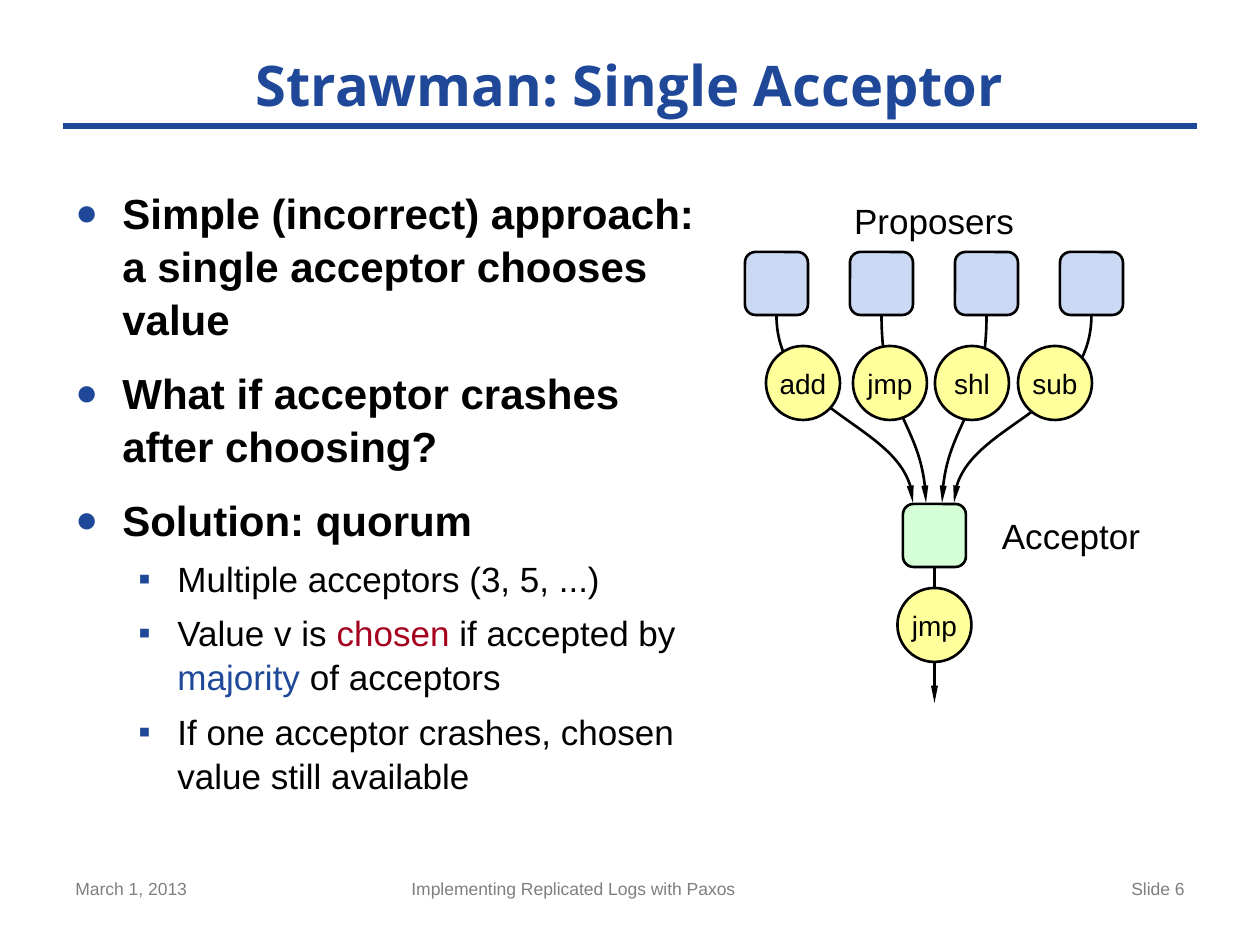
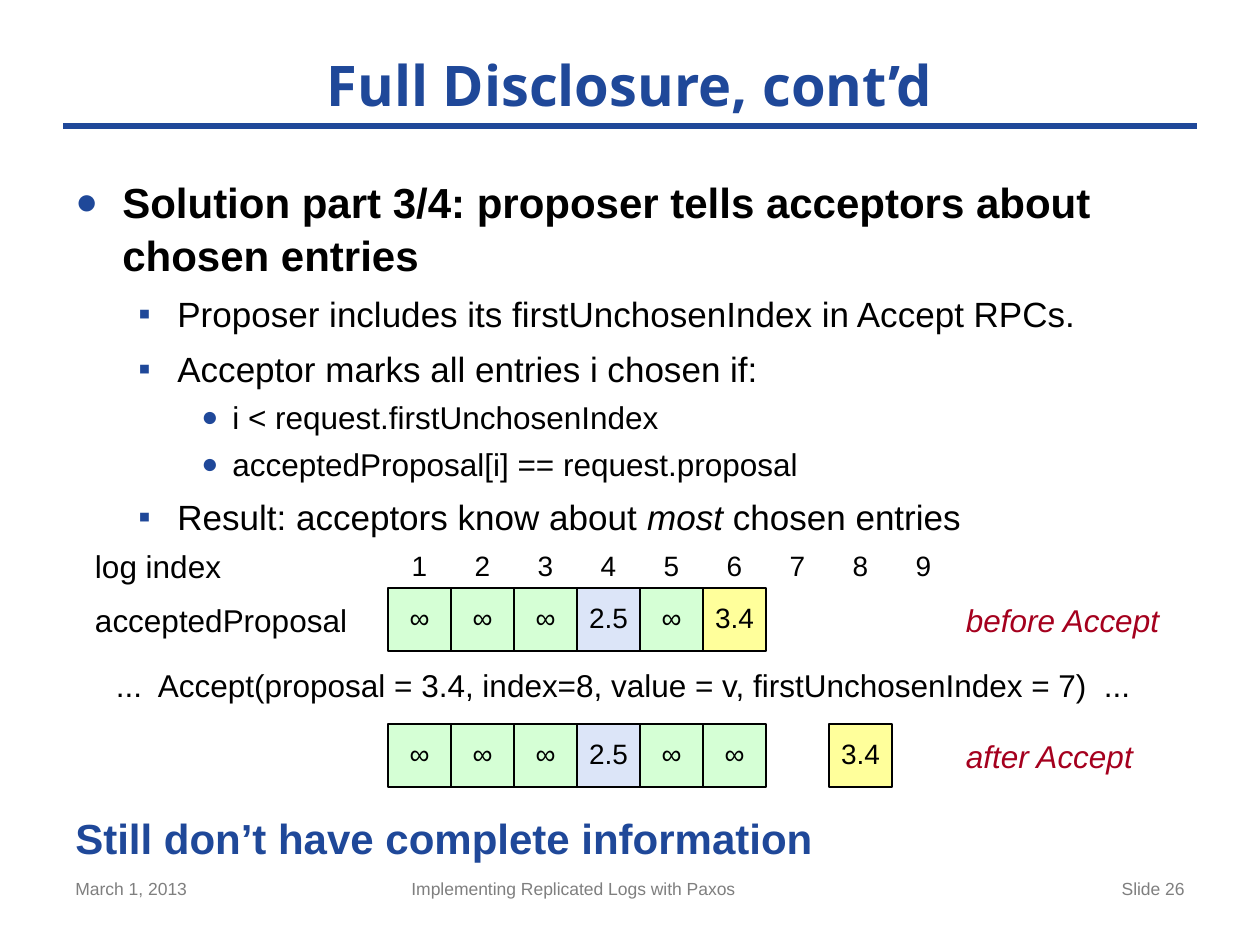
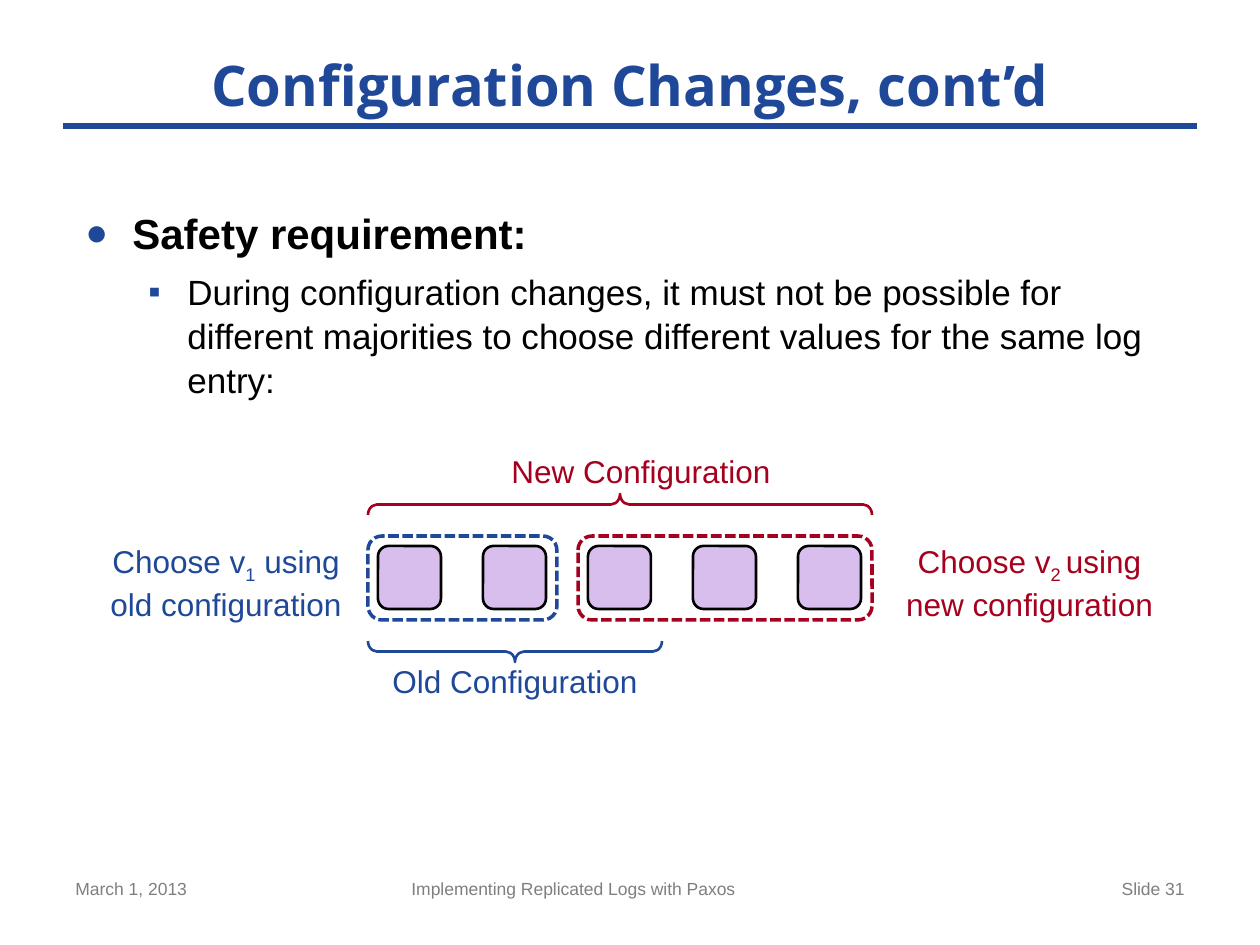
import dataclasses

import lxml.etree
import pptx
import pptx.dml.color
import pptx.enum.dml
import pptx.enum.shapes
import pptx.enum.text
import pptx.oxml.ns
import pptx.util

SCALE = 914400 / 126
SHAPE = pptx.enum.shapes.MSO_SHAPE
ALIGN = pptx.enum.text.PP_ALIGN
ANCHOR = pptx.enum.text.MSO_ANCHOR
DASH = pptx.enum.dml.MSO_LINE
qn = pptx.oxml.ns.qn


@dataclasses.dataclass(frozen=True)
class Theme:
    blue: str = "1F4899"
    red: str = "A5001E"
    black: str = "000000"
    gray: str = "7F7F7F"
    proposer: str = "CCD9F4"
    green: str = "D5FFD5"
    yellow: str = "FFFF9B"
    pale: str = "DCE5F8"
    purple: str = "D8BEEC"
    body_font: str = "Arial"
    title_font: str = "Open Sans"
    title: int = 32
    heading: int = 24
    item: int = 20
    label: int = 18
    value: int = 16
    footer: int = 10
    outline: float = 1.5


T = Theme()
LEVELS = [
    dict(size=T.heading, bold=True, before=12, left=47, hang=47, char="●", pct=90),
    dict(size=T.item, bold=False, before=6, left=102, hang=39, char="▪", pct=100),
    dict(size=T.label, bold=False, before=4, left=157, hang=31, char="●", pct=90),
]


def px(n):
    return pptx.util.Emu(round(n * SCALE))


def rgb(color):
    return pptx.dml.color.RGBColor.from_string(color)


def sub(parent, tag, **attrs):
    e = lxml.etree.SubElement(parent, qn(tag))
    for k, v in attrs.items():
        e.set(k, str(v))
    return e


def add_run(p, text, color=T.black, size=T.label, name=T.body_font, baseline=0, **fmt):
    r = p.add_run()
    r.text = text
    r.font.color.rgb = rgb(color)
    for k, v in dict(fmt, size=pptx.util.Pt(size), name=name).items():
        setattr(r.font, k, v)
    if baseline:
        r.font._element.set("baseline", str(baseline * 1000))


def write(p, parts, **fmt):
    for part in [parts] if isinstance(parts, str) else parts:
        text, extra = (part, {}) if isinstance(part, str) else part
        for i, line in enumerate(text.split("\n")):
            if i:
                p.add_line_break()
            if line:
                add_run(p, line, **{**fmt, **extra})


def set_frame(tf, inset=True, anchor=ANCHOR.TOP):
    tf.word_wrap = True
    tf.vertical_anchor = anchor
    if not inset:
        for side in ("left", "top", "right", "bottom"):
            setattr(tf, "margin_" + side, 0)


def add_text(s, box, parts, align=ALIGN.LEFT, inset=True, anchor=ANCHOR.TOP, **fmt):
    tf = s.shapes.add_textbox(*map(px, box)).text_frame
    set_frame(tf, inset, anchor)
    p = tf.paragraphs[0]
    p.alignment = align
    write(p, parts, **fmt)


def add_outline(line, color=T.black, width=T.outline, dash=None):
    line.color.rgb = rgb(color)
    line.width = pptx.util.Pt(width)
    if dash:
        line.dash_style = dash


def add_box(s, kind, box, fill=None, text=None, spacing=None, **line):
    sp = s.shapes.add_shape(kind, *map(px, box))
    sp.shadow.inherit = False
    if fill:
        sp.fill.solid()
        sp.fill.fore_color.rgb = rgb(fill)
    else:
        sp.fill.background()
    add_outline(sp.line, **line)
    if text:
        set_frame(sp.text_frame, False, ANCHOR.MIDDLE)
        p = sp.text_frame.paragraphs[0]
        p.alignment = ALIGN.CENTER
        if spacing:
            p.line_spacing = pptx.util.Pt(spacing)
        write(p, text, size=T.value)
    return sp


def add_arrowhead(sp):
    sub(sp.line._get_or_add_ln(), "a:tailEnd", type="triangle", w="sm", len="lg")


def add_line(s, x1, y1, x2, y2, arrow=False, **line):
    sp = s.shapes.add_connector(pptx.enum.shapes.MSO_CONNECTOR.STRAIGHT, *map(px, (x1, y1, x2, y2)))
    add_outline(sp.line, **line)
    if arrow:
        add_arrowhead(sp)
    sub(sp._element.spPr, "a:effectLst")


def add_curve(s, start, *points):
    fb = s.shapes.build_freeform(*map(px, start))
    fb.add_line_segments([(px(x), px(y)) for x, y in points], close=False)
    sp = fb.convert_to_shape()
    sp.shadow.inherit = False
    sp.fill.background()
    add_outline(sp.line)
    add_arrowhead(sp)
    outline = sp._element.find(".//" + qn("a:pathLst"))[0]
    segments = outline.findall(qn("a:lnTo"))
    bezier = sub(outline, "a:cubicBezTo")
    for seg in segments:
        bezier.append(seg[0])
        outline.remove(seg)


def add_brace(s, x, y, w, h, rotation, color):
    box = (x + (w - h) / 2, y + (h - w) / 2, h, w)
    sp = add_box(s, SHAPE.LEFT_BRACE, box, color=color)
    sp.adjustments[0] = 0.43
    sp.rotation = rotation


def add_bullets(s, box, items):
    tf = s.shapes.add_textbox(*map(px, box)).text_frame
    set_frame(tf)
    for i, (level, parts) in enumerate(items):
        p = tf.add_paragraph() if i else tf.paragraphs[0]
        style = LEVELS[level]
        p.level = level
        p.line_spacing = 1.05
        p.space_before = pptx.util.Pt(style["before"])
        write(p, parts, size=style["size"], bold=style["bold"])
        pPr = p._p.get_or_add_pPr()
        pPr.set("marL", str(px(style["left"])))
        pPr.set("indent", str(-px(style["hang"])))
        sub(sub(pPr, "a:buClr"), "a:srgbClr", val=T.blue)
        sub(pPr, "a:buSzPct", val=style["pct"] * 1000)
        sub(pPr, "a:buFont", typeface=T.body_font)
        sub(pPr, "a:buChar", char=style["char"])


def add_slide(prs, title, number):
    s = prs.slides.add_slide(prs.slide_layouts[6])
    add_line(s, 63, 126, 1197, 126, color=T.blue, width=4)
    add_text(s, (63, 42, 1134, 84), title, ALIGN.CENTER, anchor=ANCHOR.MIDDLE,
             name=T.title_font, size=T.title, color=T.blue, bold=True)
    for x, w, text, align in (
        (63, 294, "March 1, 2013", ALIGN.LEFT),
        (399, 473, "Implementing Replicated Logs with Paxos", ALIGN.LEFT),
        (903, 294, f"Slide {number}", ALIGN.RIGHT),
    ):
        add_text(s, (x, 872, w, 54), text, align, size=T.footer, color=T.gray)
    return s


def add_acceptor_diagram(s, x, y):
    node, step, ball = 63, 105, 74
    acceptor_x, acceptor_y = x + 158, y + 305
    middle = acceptor_x + node / 2
    proposals = [("add", 21, 168, -2), ("jmp", 108, 181, -2), ("shl", 190, 197, 2), ("sub", 273, 209, 2)]
    for text, dx, dy in (("Proposers", 105, 0), ("Acceptor", 242, 315)):
        add_text(s, (x + dx, y + dy, 168, 43), text, ALIGN.CENTER, False, size=T.item)
    for i, (_, _, end, lean) in enumerate(proposals):
        left = x + i * step
        add_box(s, SHAPE.ROUNDED_RECTANGLE, (left, y + 53, node, node), T.proposer)
        start, tip = left + node / 2, x + end
        add_curve(s, (start, y + 116), (start, y + 211), (tip + lean, y + 226), (tip, y + 304))
    add_box(s, SHAPE.ROUNDED_RECTANGLE, (acceptor_x, acceptor_y, node, node), T.green)
    add_line(s, middle, acceptor_y + node, middle, y + 504, arrow=True)
    for word, dx, _, _ in proposals:
        add_box(s, SHAPE.OVAL, (x + dx, y + 147, ball, ball), T.yellow, word)
    add_box(s, SHAPE.OVAL, (middle - ball / 2, y + 389, ball, ball), T.yellow, "jmp")


def add_log_row(s, x, y, entries, caption):
    cell = 63
    fills = {"∞": T.green, "2.5": T.pale, "3.4": T.yellow}
    for i, entry in enumerate(entries):
        if entry:
            add_box(s, SHAPE.RECTANGLE, (x + i * cell, y, cell, cell), fills[entry], entry, spacing=17)
    add_text(s, (x + 578, y + 13, 242, 38), caption, inset=False, color=T.red, italic=True)


def add_log(s, x, y):
    row_x = x + 293
    for i in range(9):
        add_text(s, (row_x + i * 63, y, 63, 47), str(i + 1), ALIGN.CENTER, size=T.value)
    for dx, dy, w, text in (
        (0, 5, 158, "log index"),
        (0, 59, 273, "acceptedProposal"),
        (21, 124, 1081, "...  Accept(proposal = 3.4, index=8, value = v, firstUnchosenIndex = 7)  ..."),
    ):
        add_text(s, (x + dx, y + dy, w, 38), text, inset=False)
    known = ["∞", "∞", "∞", "2.5", "∞"]
    add_log_row(s, row_x, y + 46, known + ["3.4"], "before Accept")
    add_log_row(s, row_x, y + 182, known + ["∞", None, "3.4"], "after Accept")


def add_configurations(s, x, y):
    for i in range(5):
        add_box(s, SHAPE.ROUNDED_RECTANGLE, (x + 10 + i * 105, y + 10, 63, 63), T.purple)
    add_brace(s, x, y + 105, 294, 21, 270, T.blue)
    add_brace(s, x, y - 42, 504, 21, 90, T.red)
    for text, dx, dy, color in (("Old", 0, 126, T.blue), ("New", 126, -84, T.red)):
        add_text(s, (x + dx, y + dy, 294, 38), f"{text} Configuration", ALIGN.CENTER, False, color=color)
    for dx, w, index, rest, color in (
        (504, 315, "2 ", "using\nnew configuration", T.red),
        (-273, 262, "1", " using\nold configuration", T.blue),
    ):
        parts = ["Choose v", (index, dict(baseline=-25)), rest]
        add_text(s, (x + dx, y, w, 89), parts, ALIGN.CENTER, color=color)
    for dx, w, color in ((210, 294, T.red), (0, 189, T.blue)):
        add_box(s, SHAPE.ROUNDED_RECTANGLE, (x + dx, y, w, 84), color=color, width=2, dash=DASH.SQUARE_DOT)


def build_strawman(prs):
    s = add_slide(prs, "Strawman: Single Acceptor", 6)
    add_bullets(s, (63, 179, 651, 661), [
        (0, "Simple (incorrect) approach: a single acceptor chooses value"),
        (0, "What if acceptor crashes after choosing?"),
        (0, "Solution: quorum"),
        (1, "Multiple acceptors (3, 5, ...)"),
        (1, ["Value v is ", ("chosen", dict(color=T.red)), " if accepted by ",
             ("majority", dict(color=T.blue)), " of acceptors"]),
        (1, "If one acceptor crashes, chosen value still available"),
    ])
    add_acceptor_diagram(s, 745, 199)


def build_disclosure(prs):
    s = add_slide(prs, "Full Disclosure, cont’d", 26)
    add_bullets(s, (63, 168, 1134, 368), [
        (0, "Solution part 3/4: proposer tells acceptors about chosen entries"),
        (1, "Proposer includes its firstUnchosenIndex in Accept RPCs."),
        (1, "Acceptor marks all entries i chosen if:"),
        (2, "i < request.firstUnchosenIndex"),
        (2, "acceptedProposal[i] == request.proposal"),
        (1, ["Result: acceptors know about ", ("most", dict(italic=True)), " chosen entries"]),
    ])
    add_log(s, 95, 542)
    add_text(s, (63, 806, 1134, 61), "Still don’t have complete information",
             size=T.heading, color=T.blue, bold=True)


def build_configuration(prs):
    s = add_slide(prs, "Configuration Changes, cont’d", 31)
    add_bullets(s, (73, 199, 1134, 634), [
        (0, "Safety requirement:"),
        (1, "During configuration changes, it must not be possible for different "
            "majorities to choose different values for the same log entry:"),
    ])
    add_configurations(s, 368, 536)


prs = pptx.Presentation()
prs.slide_width, prs.slide_height = px(1260), px(945)
build_strawman(prs)
build_disclosure(prs)
build_configuration(prs)
prs.save("out.pptx")
